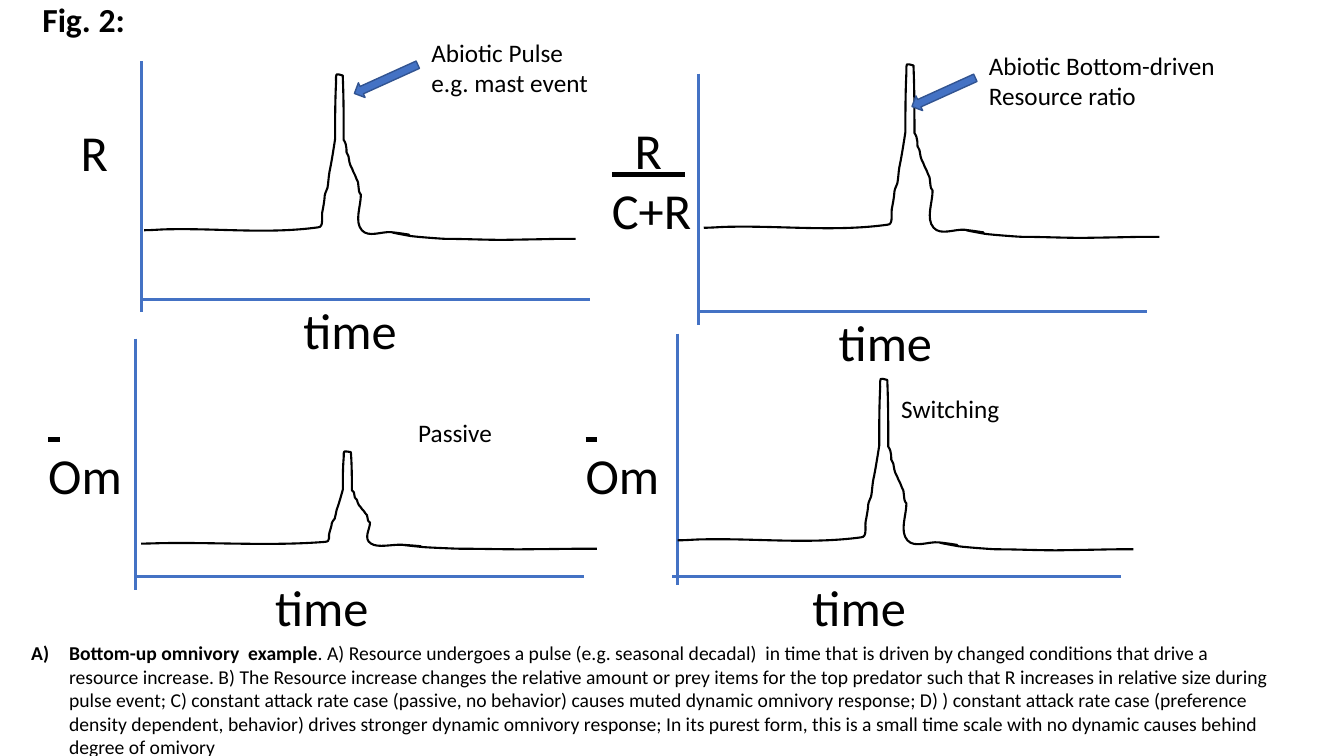
from lxml import etree
from pptx import Presentation
from pptx.dml.color import RGBColor
from pptx.enum.shapes import MSO_CONNECTOR as CONN, MSO_SHAPE as SHAPE
from pptx.enum.text import MSO_ANCHOR as ANCHOR, MSO_AUTO_SIZE as FIT, PP_ALIGN as ALIGN
from pptx.oxml.ns import qn
from pptx.util import Inches, Pt

BLACK = RGBColor(0x00, 0x00, 0x00)
BLUE = RGBColor(0x44, 0x72, 0xC4)
DARK_BLUE = RGBColor(0x32, 0x54, 0x91)
FONT = "Calibri"

PULSE_WIDTH, PULSE_HEIGHT = 452, 172
PULSE_START = (0, 162)
PULSE_CURVES = [
    (9, 162, 18, 161, 27, 161), (79, 160, 131, 166, 182, 159),
    (189, 159, 185, 147, 187, 141), (191, 120, 187, 130, 192, 118),
    (193, 113, 193, 108, 194, 102), (194, 100, 195, 99, 195, 97),
    (197, 87, 200, 67, 200, 67), (200, 47, 200, 28, 201, 8),
    (201, -2, 200, -1, 208, 1), (209, 24, 209, 46, 209, 68),
    (210, 70, 211, 71, 211, 72), (212, 75, 212, 78, 212, 81),
    (213, 82, 213, 84, 214, 85), (214, 87, 215, 89, 215, 91),
    (217, 98, 216, 93, 219, 101), (220, 102, 220, 104, 221, 105),
    (222, 108, 223, 110, 224, 112), (224, 115, 225, 118, 225, 121),
    (225, 122, 226, 124, 227, 125), (227, 137, 220, 153, 228, 162),
    (235, 170, 249, 163, 259, 164), (314, 172, 223, 158, 279, 168),
    (286, 169, 313, 171, 316, 171), (336, 171, 356, 172, 376, 172),
    (444, 171, 419, 171, 452, 171),
]

CAPTION_HEAD = "Bottom-up omnivory  example"
CAPTION_BODY = (
    ". A) Resource undergoes a pulse (e.g. seasonal decadal)  in time that is driven by "
    "changed conditions that drive a resource increase. B) The Resource increase changes the "
    "relative amount or prey items for the top predator such that R increases in relative size "
    "during pulse event; C) constant attack rate case (passive, no behavior) causes muted "
    "dynamic omnivory response; D) ) constant attack rate case (preference density dependent, "
    "behavior) drives stronger dynamic omnivory response; In its purest form, this is a small "
    "time scale with no dynamic causes behind degree of omivory"
)


def format_run(r, size, bold=False):
    r.font.name = FONT
    r.font.size = Pt(size)
    r.font.bold = bold
    r.font.color.rgb = BLACK


def place(sp, x, y, w, h):
    sp.left, sp.top, sp.width, sp.height = Inches(x), Inches(y), Inches(w), Inches(h)


def add_label(slide, text, x, y, w, h, size, wrap=False):
    sp = slide.shapes.add_textbox(Inches(x), Inches(y), Inches(w), Inches(h))
    tf = sp.text_frame
    tf.text = text
    tf.word_wrap = wrap
    tf.auto_size = FIT.SHAPE_TO_FIT_TEXT
    for p in tf.paragraphs:
        format_run(p.runs[0], size)
    return tf


def add_line(slide, x1, y1, x2, y2):
    line = slide.shapes.add_connector(CONN.STRAIGHT, Inches(x1), Inches(y1), Inches(x2), Inches(y2))
    line.line.color.rgb = BLUE
    line.line.width = Pt(2.25)
    etree.SubElement(line._element.spPr, qn("a:effectLst"))


def curve_segments(sp):
    points = list(sp._element.iter(qn("a:lnTo")))
    for first, second, third in zip(points[::3], points[1::3], points[2::3]):
        first.tag = qn("a:cubicBezTo")
        for segment in (second, third):
            first.append(segment[0])
            segment.getparent().remove(segment)


def add_pulse(slide, x, y, w, h):
    def to_slide(px, py):
        return Inches(x + px * w / PULSE_WIDTH), Inches(y + py * h / PULSE_HEIGHT)

    points = [to_slide(*curve[i:i + 2]) for curve in PULSE_CURVES for i in (0, 2, 4)]
    builder = slide.shapes.build_freeform(*to_slide(*PULSE_START))
    builder.add_line_segments(points, close=False)
    sp = builder.convert_to_shape()
    curve_segments(sp)
    sp.shadow.inherit = False
    sp.fill.background()
    sp.line.color.rgb = BLACK
    sp.line.width = Pt(1.5)


def add_panel(slide, x, y, pulse, time_x, base=2.36, base_x=0):
    add_line(slide, x, y, x, y + 2.49)
    add_line(slide, x + base_x, y + base, x + base_x + 4.45, y + base)
    dx, dy, w, h = pulse
    add_pulse(slide, x + dx, y + dy, w, h)
    add_label(slide, "time", x + time_x, y + base - 0.05, 1.14, 0.71, 36)


def add_callout(slide, text, x, y, w):
    sp = slide.shapes.add_shape(SHAPE.DOWN_ARROW, Inches(x - 0.43), Inches(y + 0.12),
                                Inches(0.16), Inches(0.69))
    sp.rotation = 65.6
    sp.shadow.inherit = False
    sp.fill.solid()
    sp.fill.fore_color.rgb = BLUE
    sp.line.color.rgb = DARK_BLUE
    sp.line.width = Pt(1)
    add_label(slide, text, x, y, w, 0.71, 18)


def add_underlined(slide, text, x, y):
    tf = add_label(slide, text, x, y, 1.05, 1.31, 36, wrap=True)
    tf.paragraphs[0].runs[0].font.underline = True


def add_title(slide, x, y, w, h):
    sp = slide.shapes.title
    place(sp, x, y, w, h)
    tf = sp.text_frame
    tf.text = "Fig. 2:"
    tf.word_wrap = False
    tf.auto_size = FIT.NONE
    tf.vertical_anchor = ANCHOR.TOP
    p = tf.paragraphs[0]
    p.alignment = ALIGN.LEFT
    format_run(p.runs[0], 24, True)


def add_caption(slide, x, y, w, h):
    sp = slide.placeholders[1]
    place(sp, x, y, w, h)
    tf = sp.text_frame
    tf.auto_size = FIT.NONE
    p = tf.paragraphs[0]
    p.space_before = Pt(0)
    for text, bold in ((CAPTION_HEAD, True), (CAPTION_BODY, False)):
        r = p.add_run()
        r.text = text
        format_run(r, 14, bold)
    pPr = p._p.get_or_add_pPr()
    pPr.set("marL", str(Pt(27)))
    pPr.set("indent", str(Pt(-27)))
    etree.SubElement(pPr, qn("a:buFont"), typeface="+mj-lt")
    etree.SubElement(pPr, qn("a:buAutoNum"), type="alphaUcParenR")


def main():
    prs = Presentation()
    prs.slide_width, prs.slide_height = Inches(13.33), Inches(7.5)
    slide = prs.slides.add_slide(prs.slide_layouts[1])
    add_title(slide, 0.32, -0.06, 1.03, 0.5)
    add_caption(slide, 0.21, 6.31, 12.57, 1.28)

    add_panel(slide, 1.4, 0.61, (0.03, 0.13, 4.28, 1.64), 1.51)
    add_label(slide, "R", 0.7, 1.15, 0.48, 0.71, 36)
    add_callout(slide, "Abiotic Pulse\ne.g. mast event", 4.18, 0.32, 1.83)

    add_panel(slide, 6.93, 0.73, (0.05, -0.09, 4.52, 1.72), 1.29)
    add_underlined(slide, "  R  \nC+R", 5.97, 1.13)
    add_callout(slide, "Abiotic Bottom-driven\nResource ratio", 9.71, 0.45, 2.47)

    add_panel(slide, 1.34, 3.36, (0.06, 1.12, 4.52, 0.97), 1.29)
    add_underlined(slide, " \nOm", 0.38, 3.76)
    add_label(slide, "Passive", 4.05, 4.09, 0.94, 0.4, 18)

    add_panel(slide, 6.72, 3.31, (0, 0.45, 4.52, 1.7), 1.24, base=2.41, base_x=-0.05)
    add_underlined(slide, " \nOm", 5.71, 3.76)
    add_label(slide, "Switching", 8.84, 3.85, 1.19, 0.4, 18)
    prs.save("out.pptx")


if __name__ == "__main__":
    main()
